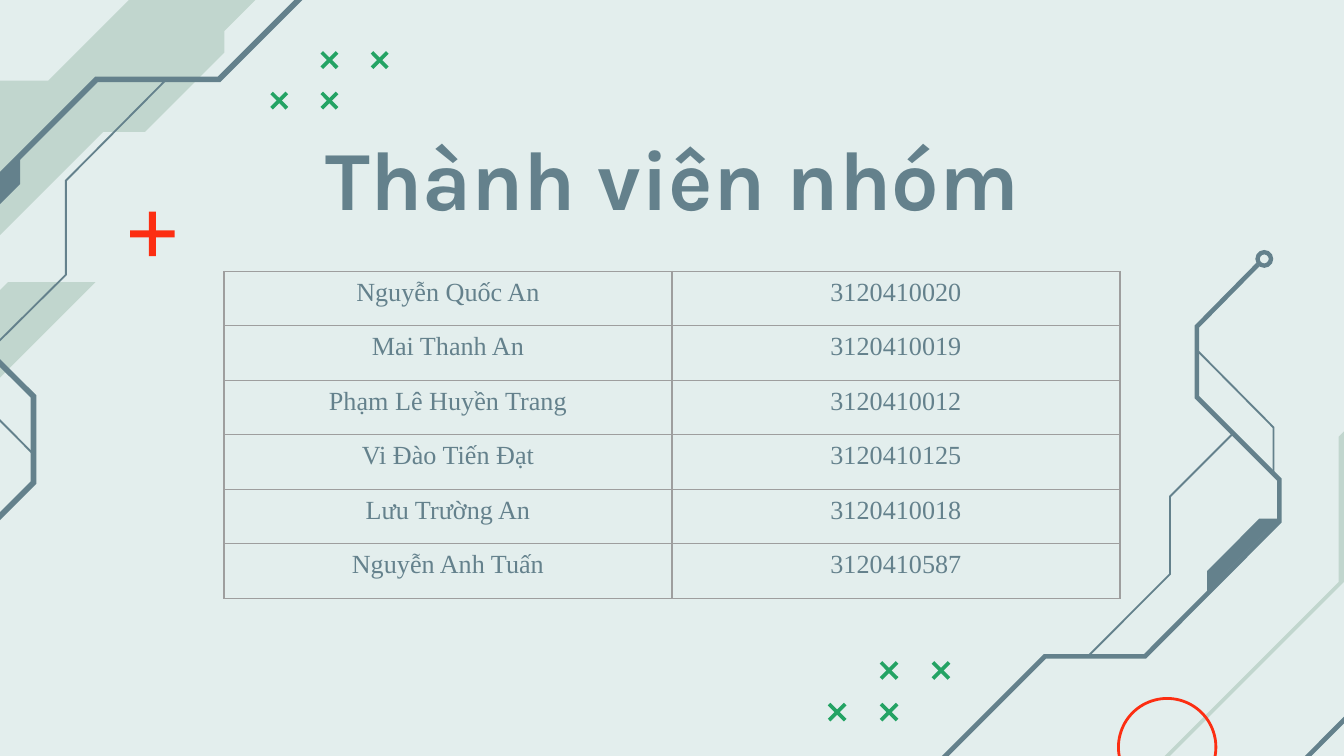
import math
import pptx
import pptx.util
import pptx.dml.color
import pptx.enum.shapes
import pptx.enum.text
import pptx.oxml

Pt = pptx.util.Pt
Kind = pptx.enum.shapes.MSO_SHAPE
Align = pptx.enum.text.PP_ALIGN
Anchor = pptx.enum.text.MSO_ANCHOR

SLATE, SAGE, GREEN, RED = "64818C", "C1D6CE", "24A364", "FC2E12"
PAPER, GRID = "E3EEED", "9E9E9E"

TITLE = "Thành viên nhóm"
TEAM = [
    ("Nguyễn Quốc An", "3120410020"),
    ("Mai Thanh An", "3120410019"),
    ("Phạm Lê Huyền Trang", "3120410012"),
    ("Vi Đào Tiến Đạt", "3120410125"),
    ("Lưu Trường An", "3120410018"),
    ("Nguyễn Anh Tuấn", "3120410587"),
]
PATCHES = [
    (SAGE, [(4.3, 151.2), (-35.3, 190.8), (-70.6, 190.8), (-149.8, 269.6),
            (-75.6, 270), (-52.6, 247), (-44.6, 247), (51.1, 151.2)]),
    (SAGE, [(97.9, -28.8), (25.9, 43.2), (-6.5, 43.2), (-47.5, 84.2),
            (-47.5, 103), (-73.4, 128.9), (-2.9, 128.9), (55.4, 70.6),
            (77.8, 70.6), (120.2, 28.1), (120.2, 16.6), (165.6, -28.8)]),
    (SAGE, [(514.8, 517), (513.4, 515.5), (717.1, 311.8), (717.1, 234),
            (779.8, 171.4), (846.7, 105.1), (1036.1, -84.2), (1037.5, -82.8),
            (852.5, 101.5), (852.5, 167), (905, 218.2), (889.2, 234),
            (784.1, 234), (751, 267.8), (751, 281.5), (717.1, 314.6)]),
    (SLATE, [(10.8, 85), (-36.7, 132.5), (-23, 132.5), (10.8, 98.6)]),
    (SLATE, [(646.6, 316.8), (646.6, 306), (674.6, 277.9), (685.4, 277.9)]),
]
TRACKS = [
    (3, [(199, -39.2), (117.4, 42.5), (51.8, 42.5), (-36.7, 131),
         (-36.7, 158), (18, 212.4), (18, 258.5), (-22.7, 299.2)]),
    (1, [(89.6, 42.1), (35.3, 96.8), (35.3, 147.2), (-6.1, 188.3)]),
    (1, [(-32.4, 162), (-32.4, 192.6), (17.6, 243)]),
    (2.5, [(493.2, 418.3), (559.8, 351.7), (613.4, 351.7), (685.4, 279.4),
           (685.4, 257), (641.2, 212.8), (641.2, 175), (673.9, 141.8)]),
    (1, [(582.8, 351.7), (626.8, 307.6), (626.8, 266), (660.6, 232.2)]),
    (1, [(682.2, 253.4), (682.2, 229), (641.2, 187.6)]),
    (2.5, [(668.9, 493.2), (668.9, 437), (781.2, 324.4), (781.2, 290.2)]),
]
CROSSES = [
    dict(left=144.8, top=27.4, step=26.9, rise=21.7, size=9.6),
    dict(left=443.5, top=354.2, step=27.8, rise=22.3, size=10),
]
SPOTS = [(1, 0), (2, 0), (0, 1), (1, 1)]
PLUS = [(79.8, 113.4, 3.8, 23.8), (69.8, 123.4, 23.8, 3.8)]
RING = (672.5, 133.9, 9.6, 9.6)
CIRCLE = (599.2, 374.2, 52.2, 52.2)


def tint(text):
    return pptx.dml.color.RGBColor.from_string(text)


def paint(shape, fill=None, line=None, width=1.5):
    shape.shadow.inherit = False
    if fill:
        shape.fill.solid()
        shape.fill.fore_color.rgb = tint(fill)
    else:
        shape.fill.background()
    if line:
        shape.line.color.rgb = tint(line)
        shape.line.width = Pt(width)
    else:
        shape.line.fill.background()


def patch(shapes, dots, hue):
    dots = [(Pt(x), Pt(y)) for x, y in dots]
    pen = shapes.build_freeform(*dots[0], scale=1.0)
    pen.add_line_segments(dots[1:], close=True)
    paint(pen.convert_to_shape(), hue)


def strip(dots, width):
    norms = []
    for (x, y), (u, v) in zip(dots, dots[1:]):
        far = math.hypot(u - x, v - y)
        norms.append(((y - v) / far, (u - x) / far))
    near, away = [], []
    for (x, y), (a, b), (c, d) in zip(dots, norms[:1] + norms, norms + norms[-1:]):
        half = width / 2 / (1 + a * c + b * d)
        dx, dy = (a + c) * half, (b + d) * half
        near.append((x + dx, y + dy))
        away.append((x - dx, y - dy))
    return near + away[::-1]


def preset(shapes, kind, box, **look):
    shape = shapes.add_shape(kind, *map(Pt, box))
    paint(shape, **look)
    return shape


def write(frame, text, align, **look):
    para = frame.paragraphs[0]
    para.alignment = align
    run = para.add_run()
    run.text = text
    run.font.color.rgb = tint(SLATE)
    for key, value in look.items():
        setattr(run.font, key, value)


def border(cell):
    props = cell._tc.get_or_add_tcPr()
    for rank, side in enumerate(("lnL", "lnR", "lnT", "lnB")):
        props.insert(rank, pptx.oxml.parse_xml(
            f'<a:{side} xmlns:a="http://schemas.openxmlformats.org/drawingml/2006/main"'
            f' w="{Pt(0.75)}"><a:solidFill><a:srgbClr val="{GRID}"/></a:solidFill></a:{side}>'))


def main():
    deck = pptx.Presentation()
    deck.slide_width, deck.slide_height = Pt(720), Pt(405)
    slide = deck.slides.add_slide(deck.slide_layouts[5])
    slide.background.fill.solid()
    slide.background.fill.fore_color.rgb = tint(PAPER)
    shapes = slide.shapes

    for hue, dots in PATCHES:
        patch(shapes, dots, hue)
    for width, dots in TRACKS:
        patch(shapes, strip(dots, width), SLATE)
    for group in CROSSES:
        size = group["size"]
        for col, row in SPOTS:
            x = group["left"] + col * group["step"]
            y = group["top"] + row * group["rise"]
            ends = [(x + 0.7, y + 0.7), (x + size - 0.7, y + size - 0.7)]
            flip = [(2 * x + size - a, b) for a, b in ends]
            for bar in (ends, flip):
                patch(shapes, strip(bar, 2), GREEN)

    ring = preset(shapes, Kind.DONUT, RING, fill=SLATE)
    ring.adjustments[0] = 0.25
    preset(shapes, Kind.OVAL, CIRCLE, line=RED)
    for box in PLUS:
        preset(shapes, Kind.RECTANGLE, box, fill=RED)

    title = shapes.title
    place = dict(left=144.7, top=59, width=430.6, height=72)
    for key, value in place.items():
        setattr(title, key, Pt(value))
    frame = title.text_frame
    look = dict(word_wrap=True, vertical_anchor=Anchor.MIDDLE,
                auto_size=pptx.enum.text.MSO_AUTO_SIZE.NONE)
    look.update({f"margin_{side}": Pt(7.2) for side in ("left", "right", "top", "bottom")})
    for key, value in look.items():
        setattr(frame, key, value)
    write(frame, TITLE, Align.CENTER, name="Karla", size=Pt(45), bold=True)

    table = shapes.add_table(len(TEAM), 2, Pt(120), Pt(145.4), Pt(480), Pt(175.2)).table
    table.first_row = table.horz_banding = False
    for r, line in enumerate(TEAM):
        for c, text in enumerate(line):
            cell = table.cell(r, c)
            cell.fill.background()
            border(cell)
            write(cell.text_frame, text, Align.CENTER, name="Times New Roman", size=Pt(14))
    deck.save("out.pptx")


if __name__ == "__main__":
    main()
